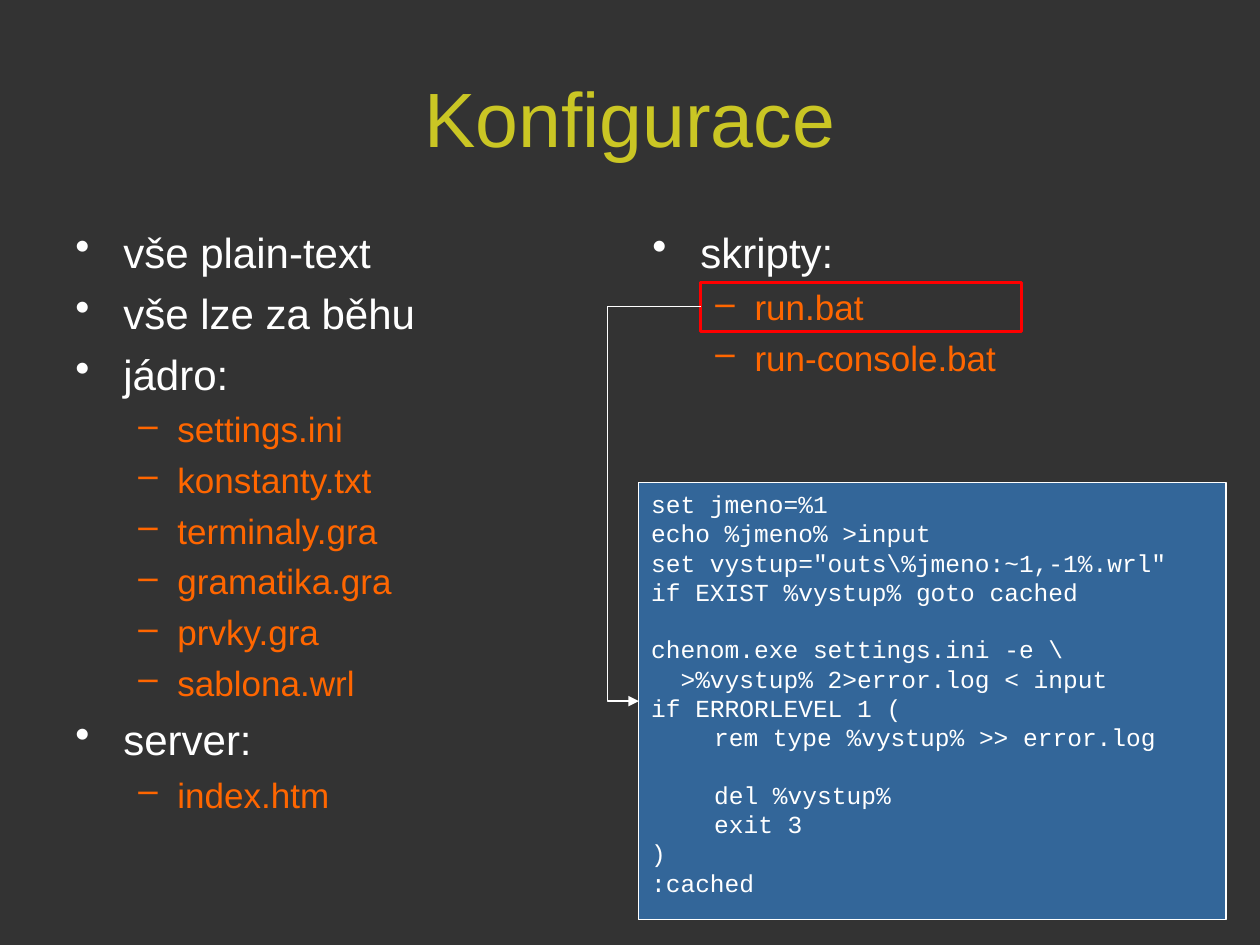
from pptx import Presentation
from pptx.dml.color import RGBColor
from pptx.enum.shapes import MSO_CONNECTOR, MSO_SHAPE
from pptx.enum.text import MSO_ANCHOR, PP_ALIGN
from pptx.oxml.ns import qn
from pptx.util import Inches, Pt
from lxml import etree

RECT, ELBOW = MSO_SHAPE.RECTANGLE, MSO_CONNECTOR.ELBOW
TOP, MIDDLE = MSO_ANCHOR.TOP, MSO_ANCHOR.MIDDLE
LEFT, CENTER = PP_ALIGN.LEFT, PP_ALIGN.CENTER

# Content: columns of (level, text); code blocks of paragraphs
TITLE = "Konfigurace"
COLUMNS = [
    [(0, "vše plain-text"), (0, "vše lze za běhu"), (0, "jádro:"),
     (1, "settings.ini"), (1, "konstanty.txt"), (1, "terminaly.gra"),
     (1, "gramatika.gra"), (1, "prvky.gra"), (1, "sablona.wrl"),
     (0, "server:"), (1, "index.htm")],
    [(0, "skripty:"), (1, "run.bat"), (1, "run-console.bat")],
]
CODE_BLOCKS = [
    ["set jmeno=%1", "echo %jmeno% >input",
     'set vystup="outs\\%jmeno:~1,-1%.wrl"', "if EXIST %vystup% goto cached"],
    ["chenom.exe settings.ini -e \\\v  >%vystup% 2>error.log < input",
     "if ERRORLEVEL 1 (", "\trem type %vystup% >> error.log"],
    ["\tdel %vystup%", "\texit 3", ")", ":cached"],
]

# Theme
THEME = {
    "back": "333333", "panel": "336699", "line": "FFFFFF", "mark": "FF0000",
    "title": {"name": "Arial", "size": 44, "color": "CAC624"},
    "code": {"name": "Courier New", "size": 14, "color": "FFFFFF"},
    "levels": [
        {"font": {"name": "Arial", "size": 24, "color": "FFFFFF"},
         "bullet": "•", "left": 0.38, "hang": 0.38, "before": 6},
        {"font": {"name": "Arial", "size": 20, "color": "FF6600"},
         "bullet": "–", "left": 0.81, "hang": 0.31, "before": 5},
    ],
}
CODE_LINE = 15.86  # height of one code line, points

# Layout, inches
WIDTH, HEIGHT, MARGIN = 10, 7.5, 0.5
COL_GAP, COL_TOP, COL_HEIGHTS = 0.16, 1.75, (4.95, 1.84)
COL_WIDTH = (WIDTH - 2 * MARGIN - COL_GAP) / 2
TITLE_BOX = (MARGIN, 0.3, WIDTH - 2 * MARGIN, 1.25)
CODE_BOX = (5.07, 3.83, 4.66, 3.47)
MARK_BOX = (5.56, 2.24, 2.55, 0.39)
ELBOW_X = 4.82


def inches(box):
    return [Inches(v) for v in box]


def rgb(color):
    return RGBColor.from_string(color)


def set_font(font, style):
    values = {"name": style["name"], "size": Pt(style["size"]), "bold": False}
    for name, value in values.items():
        setattr(font, name, value)
    font.color.rgb = rgb(style["color"])


def set_line(sp, color, width):
    sp.line.color.rgb = rgb(color)
    sp.line.width = Pt(width)


def write(p, text, style, align=LEFT, before=0):
    p.text = text
    p.alignment = align
    p.space_before = Pt(before)
    for r in p.runs:
        set_font(r.font, style)


def set_bullet(p, level):
    pPr = p._p.get_or_add_pPr()
    pPr.set("marL", str(Inches(level["left"])))
    pPr.set("indent", str(-Inches(level["hang"])))
    color = etree.SubElement(pPr, qn("a:buClr"))
    etree.SubElement(color, qn("a:srgbClr"), val=level["font"]["color"])
    etree.SubElement(pPr, qn("a:buChar"), char=level["bullet"])


def paragraphs(tf, items):
    for i, item in enumerate(items):
        yield (tf.add_paragraph() if i else tf.paragraphs[0]), item


def add_rect(slide, box, color, width, fill=None):
    sp = slide.shapes.add_shape(RECT, *inches(box))
    sp.shadow.inherit = False
    if fill:
        sp.fill.solid()
        sp.fill.fore_color.rgb = rgb(fill)
    else:
        sp.fill.background()
    set_line(sp, color, width)
    return sp


def add_title(slide):
    sp = slide.shapes.title
    sp.left, sp.top, sp.width, sp.height = inches(TITLE_BOX)
    sp.text_frame.vertical_anchor = MIDDLE
    write(sp.text_frame.paragraphs[0], TITLE, THEME["title"], CENTER)


def add_columns(slide):
    for i, (items, height) in enumerate(zip(COLUMNS, COL_HEIGHTS)):
        left = MARGIN + i * (COL_WIDTH + COL_GAP)
        box = (left, COL_TOP, COL_WIDTH, height)
        tf = slide.shapes.add_textbox(*inches(box)).text_frame
        tf.word_wrap = True
        for p, (depth, text) in paragraphs(tf, items):
            level = THEME["levels"][depth]
            p.level = depth
            write(p, text, level["font"], before=level["before"])
            set_bullet(p, level)


def add_code(slide):
    sp = add_rect(slide, CODE_BOX, THEME["line"], 0.75, THEME["panel"])
    tf = sp.text_frame
    tf.word_wrap = False
    tf.vertical_anchor = TOP
    lines = [(text, CODE_LINE if b and not i else 0)
             for b, block in enumerate(CODE_BLOCKS)
             for i, text in enumerate(block)]
    for p, (text, before) in paragraphs(tf, lines):
        write(p, text, THEME["code"], before=before)
    return sp


def add_elbow(slide, start, end):
    sp = slide.shapes.add_connector(ELBOW, 0, 0, 0, 0)
    sp.begin_connect(start, 1)  # left side
    sp.end_connect(end, 1)
    set_line(sp, THEME["line"], 0.75)
    share = (start.left - Inches(ELBOW_X)) / (start.left - end.left)
    spPr = sp._element.spPr
    guides = spPr.find(qn("a:prstGeom")).get_or_add_avLst()
    etree.SubElement(guides, qn("a:gd"), name="adj1",
                     fmla=f"val {round(share * 100000)}")
    etree.SubElement(sp.line._get_or_add_ln(), qn("a:tailEnd"), type="triangle")
    etree.SubElement(spPr, qn("a:effectLst"))


def main():
    prs = Presentation()
    prs.slide_width, prs.slide_height = inches((WIDTH, HEIGHT))
    slide = prs.slides.add_slide(prs.slide_layouts[5])
    slide.background.fill.solid()
    slide.background.fill.fore_color.rgb = rgb(THEME["back"])
    add_title(slide)
    add_columns(slide)
    code = add_code(slide)
    mark = add_rect(slide, MARK_BOX, THEME["mark"], 1.5)
    add_elbow(slide, mark, code)
    prs.save("out.pptx")


if __name__ == "__main__":
    main()
